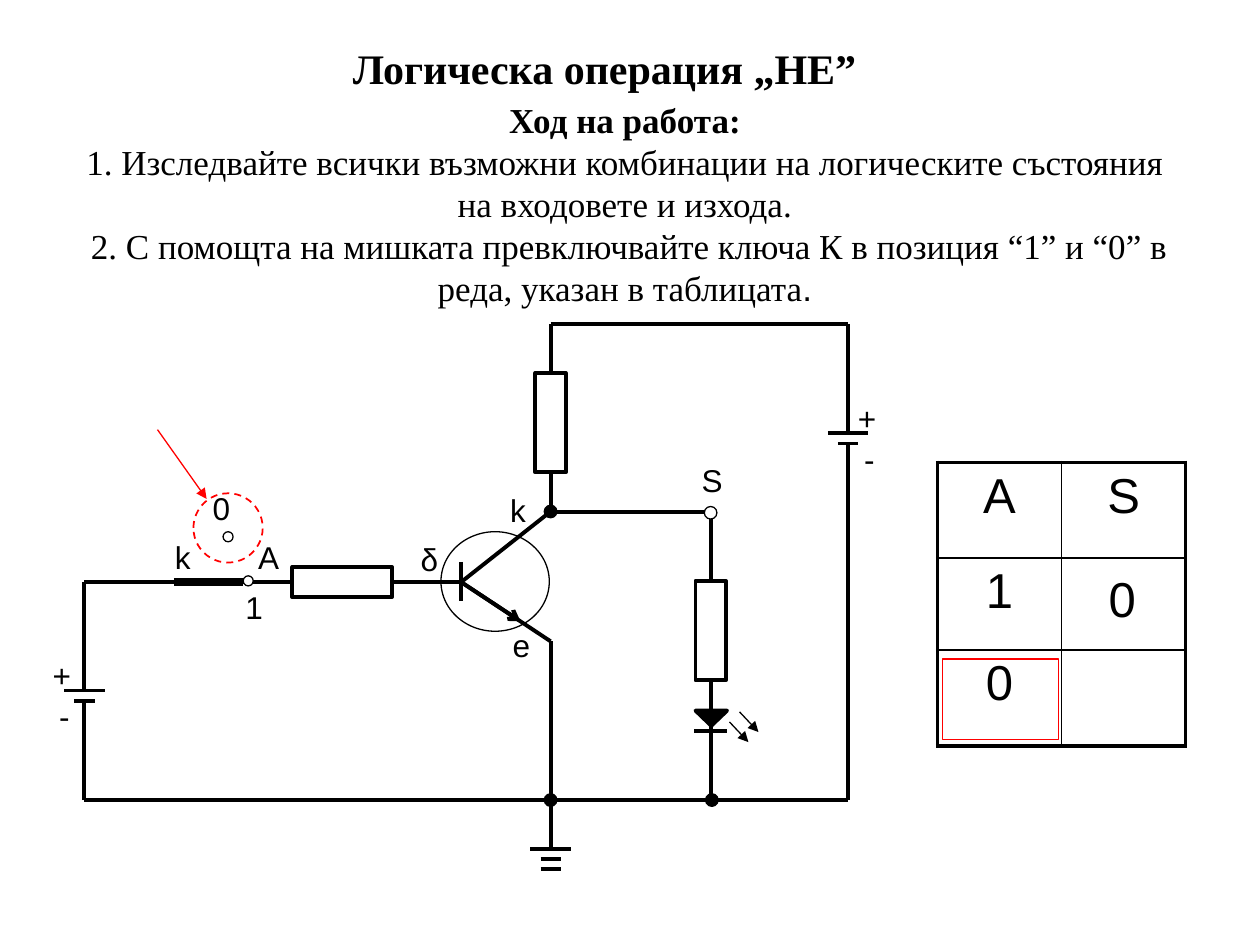
import dataclasses

import lxml.etree
import pptx
import pptx.dml.color
import pptx.enum.dml
import pptx.enum.shapes
import pptx.enum.text
import pptx.oxml.ns
import pptx.util

Inches = pptx.util.Inches
Pt = pptx.util.Pt
SHAPES = pptx.enum.shapes.MSO_SHAPE
ALIGN = pptx.enum.text.PP_ALIGN
FIT = pptx.enum.text.MSO_AUTO_SIZE
BLACK, WHITE, RED = "000000", "FFFFFF", "FF0000"
TOP, LEFT, BOTTOM, RIGHT = range(4)


def color(code):
    return pptx.dml.color.RGBColor.from_string(code)


def add_child(parent, tag, **attributes):
    return lxml.etree.SubElement(parent, pptx.oxml.ns.qn(tag), **attributes)


def format_run(run, size, font="Arial", bold=False):
    run.font.size = Pt(size)
    run.font.name = font
    run.font.bold = bold
    run.font.color.rgb = color(BLACK)


@dataclasses.dataclass
class Region:
    page: object
    left: float
    top: float
    width: float = 0
    height: float = 0

    def place(self, x, y):
        return Inches(self.left + x), Inches(self.top + y)

    def wire(self, start, end, weight=2.25, ink=BLACK, head=None, begin=None, finish=None):
        line = self.page.shapes.add_connector(
            pptx.enum.shapes.MSO_CONNECTOR.STRAIGHT, *self.place(*start), *self.place(*end))
        line.line.width = Pt(weight)
        line.line.color.rgb = color(ink)
        if head:
            add_child(line.line._get_or_add_ln(), "a:tailEnd", type=head)
        add_child(line._element.spPr, "a:effectLst")
        if begin:
            line.begin_connect(*begin)
        if finish:
            line.end_connect(*finish)

    def shape(self, kind, x, y, width, height, fill=None, ink=BLACK, weight=2.25):
        shape = self.page.shapes.add_shape(
            kind, *self.place(x, y), Inches(width), Inches(height))
        shape.shadow.inherit = False
        if fill:
            shape.fill.solid()
            shape.fill.fore_color.rgb = color(fill)
        else:
            shape.fill.background()
        shape.line.color.rgb = color(ink)
        shape.line.width = Pt(weight)
        return shape

    def circle(self, x, y, size, fill=None, ink=BLACK, weight=0.75):
        return self.shape(SHAPES.OVAL, x - size / 2, y - size / 2, size, size, fill, ink, weight)

    def resistor(self, x, y, width, height):
        return self.shape(SHAPES.RECTANGLE, x, y, width, height, WHITE)

    def plate(self, x, y, half):
        self.wire((x - half, y), (x + half, y))

    def label(self, text, x, y, size=18, width=0.34, height=0.4):
        box = self.page.shapes.add_textbox(*self.place(x, y), Inches(width), Inches(height))
        box.text_frame.text = text
        box.text_frame.word_wrap = False
        box.text_frame.auto_size = FIT.SHAPE_TO_FIT_TEXT
        format_run(box.text_frame.paragraphs[0].runs[0], size)

    def battery(self, x, y, label_shift):
        self.plate(x, y, 0.16)
        self.plate(x, y + 0.08, 0.08)
        self.label("+", x + label_shift, y - 0.32)
        self.label("-", x + label_shift + 0.05, y, width=0.28)


def draw_heading(box):
    heading = box.page.shapes.add_textbox(
        *box.place(0, 0), Inches(box.width), Inches(box.height))
    heading.text_frame.word_wrap = True
    para = heading.text_frame.paragraphs[0]
    para.text = "Логическа операция „НЕ” "
    para.alignment = ALIGN.CENTER
    format_run(para.runs[0], 24, "Times New Roman", True)


def draw_instructions(box):
    title = box.page.shapes.title
    title.left, title.top = box.place(0, 0)
    title.width, title.height = Inches(box.width), Inches(box.height)
    frame = title.text_frame
    frame.text = (
        "Ход на работа:\n"
        "1. Изследвайте всички възможни комбинации на логическите състояния"
        " на входовете и изхода.\n"
        " 2. С помощта на мишката превключвайте ключa К в позиция “1” и “0”"
        " в реда, указан в таблицата")
    frame.word_wrap = True
    frame.auto_size = FIT.NONE
    frame.vertical_anchor = pptx.enum.text.MSO_ANCHOR.MIDDLE
    for index, para in enumerate(frame.paragraphs):
        para.alignment = ALIGN.CENTER
        para.space_before = Pt(0)
        format_run(para.runs[0], 20, "Times New Roman", index == 0)
    period = frame.paragraphs[-1].add_run()
    period.text = "."
    format_run(period, 20)


def draw_input(box):
    box.battery(0.17, 2.08, -0.35)
    box.wire((0.17, 2.95), (0.17, 2.16))
    box.wire((0.17, 2.08), (0.17, 1.22))
    box.wire((0.17, 1.22), (0.88, 1.22))
    box.wire((0.88, 1.22), (1.43, 1.22), weight=4.5)
    resistor = box.resistor(1.82, 1.1, 0.79, 0.24)
    box.wire((1.43, 1.22), (1.82, 1.22), finish=(resistor, LEFT))
    box.wire((2.61, 1.22), (3.16, 1.22), begin=(resistor, RIGHT))
    for x, y in ((1.47, 1.21), (1.31, 0.86)):
        box.circle(x, y, 0.08, WHITE)
    marker = box.circle(1.31, 0.79, 0.55, ink=RED, weight=1)
    marker.line.dash_style = pptx.enum.dml.MSO_LINE.DASH
    box.wire((0.75, 0.01), (1.14, 0.56), 0.75, RED, "triangle")
    for text, x, y in (("k", 0.79, 0.82), ("A", 1.45, 0.82), ("0", 1.09, 0.43), ("1", 1.35, 1.22)):
        box.label(text, x, y)


def draw_transistor(box):
    base = (0.46, 0.82)
    box.shape(SHAPES.OVAL, 0.3, 0.42, 0.86, 0.79, weight=0.75)
    box.wire((0.46, 0.66), (0.46, 0.97))
    box.wire(base, (1.17, 0.26))
    box.wire(base, (0.93, 1.13), head="arrow")
    box.wire(base, (1.17, 1.29))
    box.wire((1.17, 1.29), (1.17, 2.55))
    for text, x, y in (("δ", 0.04, 0.44), ("k", 0.75, 0.05), ("e", 0.77, 1.12)):
        box.label(text, x, y)


def draw_output(box):
    collector = box.resistor(0.05, 0.46, 0.24, 0.79)
    box.wire((0.17, 1.56), (0.17, 1.25), finish=(collector, BOTTOM))
    box.wire((0.17, 0.46), (0.17, 0.07), begin=(collector, TOP))
    box.wire((0.17, 0.07), (2.53, 0.07))
    box.wire((2.53, 0.07), (2.53, 0.94))
    box.battery(2.53, 0.94, -0.02)
    box.wire((2.53, 1.02), (2.53, 3.85))
    box.wire((0.17, 1.56), (1.44, 1.56))
    load = box.resistor(1.32, 2.11, 0.24, 0.79)
    box.wire((1.44, 1.56), (1.44, 2.11), finish=(load, TOP))
    box.wire((1.44, 2.9), (1.44, 3.85), begin=(load, BOTTOM))
    diode = box.shape(SHAPES.ISOSCELES_TRIANGLE, 1.32, 3.14, 0.25, 0.12, BLACK)
    diode._element.spPr.xfrm.set("flipV", "1")
    box.plate(1.44, 3.3, 0.13)
    for shift in (0, 0.08):
        box.wire((1.67 - shift, 3.15 + shift), (1.82 - shift, 3.31 + shift), 0.75, head="triangle")
    box.circle(0.17, 1.56, 0.1, BLACK)
    box.circle(1.44, 1.57, 0.1, WHITE)
    box.label("S", 1.27, 1.11, width=0.37)


def draw_ground(box):
    box.wire((0, 0), (box.width, 0))
    box.wire((3.7, 0), (3.7, 0.39))
    for index, half in enumerate((0.16, 0.08, 0.08)):
        box.plate(3.7, 0.39 + 0.08 * index, half)
    for x in (3.7, 4.98):
        box.circle(x, 0, 0.1, BLACK)


def draw_truth_table(box):
    box.shape(SHAPES.RECTANGLE, 0.04, 1.56, 0.92, 0.64, ink=RED, weight=0.75)
    values = (("A", "S"), ("1", ""), ("0", ""))
    table = box.page.shapes.add_table(
        3, 2, *box.place(0, 0), Inches(box.width), Inches(box.height)).table
    table.first_row = table.horz_banding = False
    for row, height in zip(table.rows, (0.76, 0.73, 0.76)):
        row.height = Inches(height)
    for r, row in enumerate(values):
        for c, text in enumerate(row):
            cell = table.cell(r, c)
            cell.text = text
            para = cell.text_frame.paragraphs[0]
            para.alignment = ALIGN.CENTER
            for run in para.runs:
                format_run(run, 28)
            properties = cell._tc.get_or_add_tcPr()
            edges = {"L": c == 0, "R": c == 1, "T": r == 0, "B": r == 2}
            for side, outer in edges.items():
                border = add_child(properties, "a:ln" + side, w=str(Pt(2.25 if outer else 1)))
                add_child(add_child(border, "a:solidFill"), "a:srgbClr", val=BLACK)
            cell.fill.background()
    box.label("0", 1.26, 0.79, 28, 0.42, 0.57)


def main():
    deck = pptx.Presentation()
    deck.slide_width, deck.slide_height = Inches(10), Inches(7.5)
    page = deck.slides.add_slide(deck.slide_layouts[5])
    draw_heading(Region(page, 2.62, 0.29, 4.44, 0.5))
    draw_instructions(Region(page, 0.46, 0.99, 9, 1.25))
    draw_ground(Region(page, 0.67, 6.35, 6.06))
    draw_input(Region(page, 0.5, 3.4))
    draw_transistor(Region(page, 3.2, 3.8))
    draw_output(Region(page, 4.2, 2.5))
    draw_truth_table(Region(page, 7.44, 3.67, 1.97, 2.25))
    deck.save("out.pptx")


if __name__ == "__main__":
    main()
